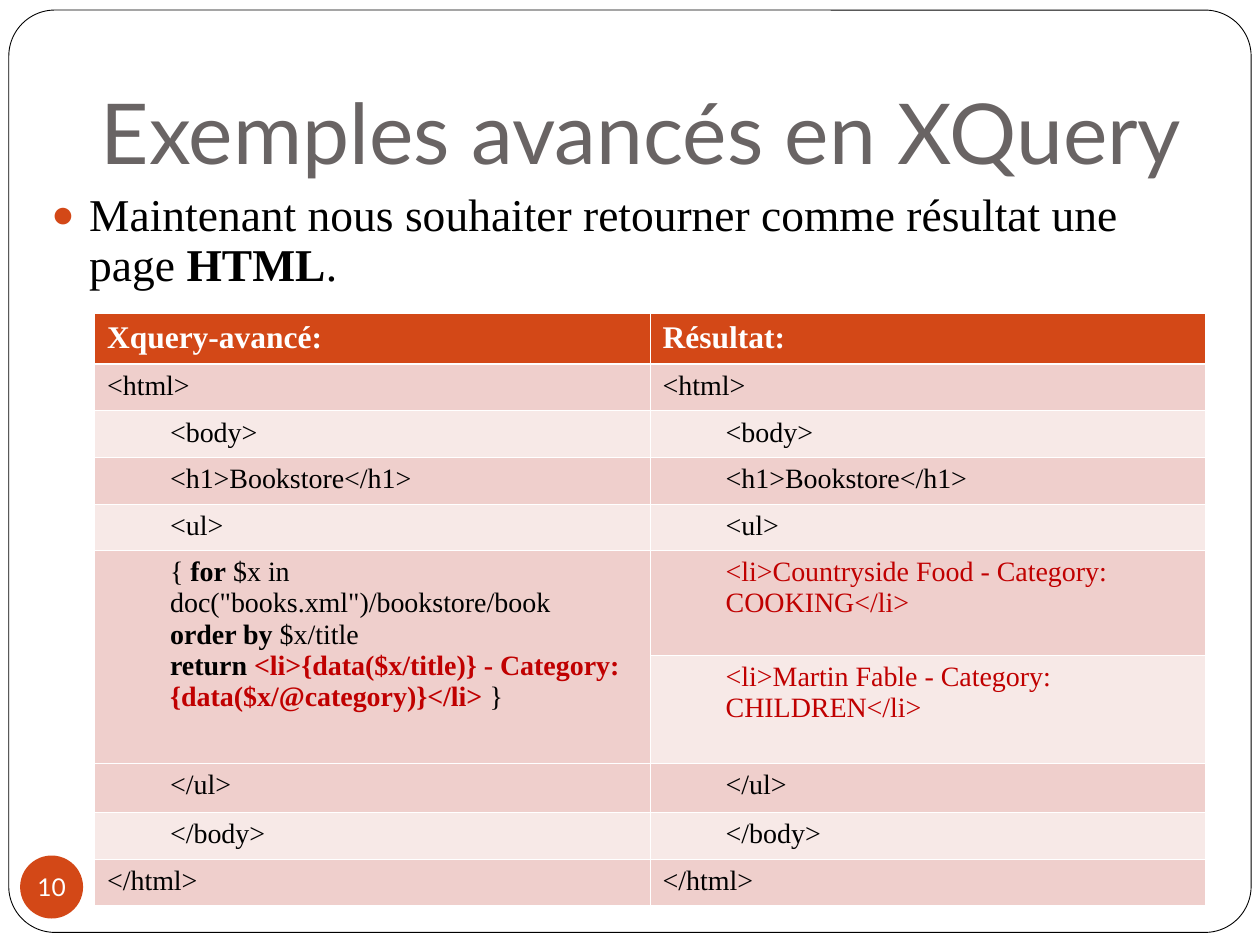
from dataclasses import dataclass
from typing import Any

from lxml.etree import SubElement
from pptx import Presentation
from pptx.dml.color import RGBColor
from pptx.enum.shapes import MSO_SHAPE as Shape
from pptx.enum.text import MSO_ANCHOR as Anchor, PP_ALIGN as Align
from pptx.oxml import parse_xml
from pptx.oxml.ns import nsdecls, qn
from pptx.util import Inches, Pt

ORANGE, WHITE, BLACK, RED, GREY = "D34817", "FFFFFF", "000000", "C00000", "696464"
BANDS = ("F7E9E7", "EFCFCC")
SERIF, SANS = "Times New Roman", "Lato"
THIN, THICK = 0.45, 1.47


@dataclass(frozen=True)
class Run:
    text: str
    bold: bool = False
    color: str = BLACK
    size: float = 16
    font: str = SERIF
    breaks: bool = False


@dataclass(frozen=True)
class Entry:
    runs: tuple[Run, ...]
    indent: float = 0.5


@dataclass(frozen=True)
class Row:
    height: float
    query: Entry | None
    result: Entry


def rgb(color: str) -> RGBColor:
    return RGBColor.from_string(color)


def apply(target: Any, values: dict[str, Any]) -> None:
    for name, value in values.items():
        setattr(target, name, value)


def paint(target: Any, color: str) -> None:
    target.fill.solid()
    target.fill.fore_color.rgb = rgb(color)


def write(paragraph: Any, runs: tuple[Run, ...]) -> None:
    for item in runs:
        run = paragraph.add_run()
        run.text = item.text
        apply(run.font, {"name": item.font, "size": Pt(item.size), "bold": item.bold})
        run.font.color.rgb = rgb(item.color)
        if item.breaks:
            paragraph.add_line_break()


def indent(paragraph: Any, left: float, first: float = 0) -> Any:
    properties = paragraph._p.get_or_add_pPr()
    properties.set("marL", str(Inches(left)))
    properties.set("indent", str(Inches(first)))
    return properties


def set_margins(frame: Any, left: float, top: float, right: float, bottom: float) -> None:
    apply(frame, {"margin_left": Inches(left), "margin_top": Inches(top),
                  "margin_right": Inches(right), "margin_bottom": Inches(bottom)})


def add_text(slide: Any, left: float, top: float, width: float, height: float) -> Any:
    frame = slide.shapes.add_textbox(
        Inches(left), Inches(top), Inches(width), Inches(height)).text_frame
    frame.word_wrap = True
    frame.paragraphs[0].line_spacing = 0.9
    return frame


def add_shape(slide: Any, kind: Any, left: float, top: float, width: float,
              height: float, color: str) -> Any:
    shape = slide.shapes.add_shape(
        kind, Inches(left), Inches(top), Inches(width), Inches(height))
    shape.shadow.inherit = False
    paint(shape, color)
    return shape


def set_borders(cell: Any, top: float, bottom: float) -> None:
    sides = {"lnL": THIN, "lnR": THIN, "lnT": top, "lnB": bottom}
    for place, (side, width) in enumerate(sides.items()):
        cell._tc.get_or_add_tcPr().insert(place, parse_xml(
            f'<a:{side} {nsdecls("a")} w="{Pt(width)}"><a:solidFill>'
            f'<a:srgbClr val="{WHITE}"/></a:solidFill></a:{side}>'))


def add_code_table(slide: Any, rows: list[Row]) -> None:
    table = slide.shapes.add_table(
        len(rows), 2, Inches(0.75), Inches(2.49), Inches(8.82),
        Inches(sum(row.height for row in rows))).table
    table.horz_banding = False
    for index, row in enumerate(rows):
        table.rows[index].height = Inches(row.height)
        for column, entry in enumerate((row.query, row.result)):
            cell = table.cell(index, column)
            paint(cell, BANDS[index % 2] if index else ORANGE)
            set_borders(cell, THICK if index == 1 else THIN, THIN if index else THICK)
            set_margins(cell, 0.1, 0.05, 0.1, 0.05)
            if entry is None:
                table.cell(index - 1, column).merge(cell)
                continue
            paragraph = cell.text_frame.paragraphs[0]
            indent(paragraph, entry.indent)
            write(paragraph, entry.runs)


def heading(text: str) -> Entry:
    return Entry((Run(text, True, WHITE, 18),), 0)


def shared(text: str, left: float = 0.5, height: float = 0.37) -> Row:
    entry = Entry((Run(text),), left)
    return Row(height, entry, entry)


def book(text: str) -> Entry:
    return Entry((Run(text, color=RED),))


QUERY = Entry((
    Run("{ "), Run("for", True),
    Run(' $x in doc("books.xml")/bookstore/book', breaks=True),
    Run("order by ", True), Run("$x/title", breaks=True),
    Run("return ", True),
    Run("<li>{data($x/title)} - Category: {data($x/@category)}</li> ", True, RED),
    Run("}"),
))

ROWS = [
    Row(0.4, heading("Xquery-avancé:"), heading("Résultat:")),
    shared("<html>", 0),
    shared("<body>"),
    shared("<h1>Bookstore</h1>"),
    shared("<ul>"),
    Row(0.83, QUERY, book("<li>Countryside Food - Category: COOKING</li>")),
    Row(0.86, None, book("<li>Martin Fable - Category: CHILDREN</li>")),
    shared("</ul>", height=0.39),
    shared("</body>"),
    shared("</html>", 0),
]


def main() -> None:
    deck = Presentation()
    apply(deck, {"slide_width": Inches(10), "slide_height": Inches(7.5)})
    slide = deck.slides.add_slide(deck.slide_layouts[6])

    border = add_shape(slide, Shape.ROUNDED_RECTANGLE, 0.07, 0.08, 9.86, 7.32, WHITE)
    border.adjustments[0] = 0.05
    border.line.color.rgb = rgb(BLACK)
    border.line.width = Pt(0.5)

    title = add_text(slide, 0.7, 0.3, 9.06, 1.25)
    title.vertical_anchor = Anchor.BOTTOM
    set_margins(title, 0.1, 0.05, 0.1, 0.1)
    indent(title.paragraphs[0], 0.67, -0.67)
    write(title.paragraphs[0],
          (Run("Exemples avancés en XQuery", color=GREY, size=48, font=SANS),))

    goal = add_text(slide, 0.31, 1.48, 9.3, 0.93).paragraphs[0]
    goal.space_after = Pt(6)
    bullet = indent(goal, 0.3, -0.3)
    SubElement(SubElement(bullet, qn("a:buClr")), qn("a:srgbClr"), val=ORANGE)
    SubElement(bullet, qn("a:buSzPct"), val="85000")
    SubElement(bullet, qn("a:buFont"), typeface=SERIF)
    SubElement(bullet, qn("a:buChar"), char="●")
    write(goal, (
        Run("Maintenant nous souhaiter retourner comme résultat une page ", size=26),
        Run("HTML", True, size=26), Run(".", size=26)))

    add_code_table(slide, ROWS)

    badge = add_shape(slide, Shape.OVAL, 0.16, 6.79, 0.5, 0.5, ORANGE)
    badge.line.fill.background()
    number = badge.text_frame
    apply(number, {"word_wrap": False, "vertical_anchor": Anchor.MIDDLE})
    set_margins(number, 0, 0, 0, 0)
    number.paragraphs[0].alignment = Align.CENTER
    write(number.paragraphs[0], (Run("10", color=WHITE, size=14, font=SANS),))

    deck.save("out.pptx")


if __name__ == "__main__":
    main()
